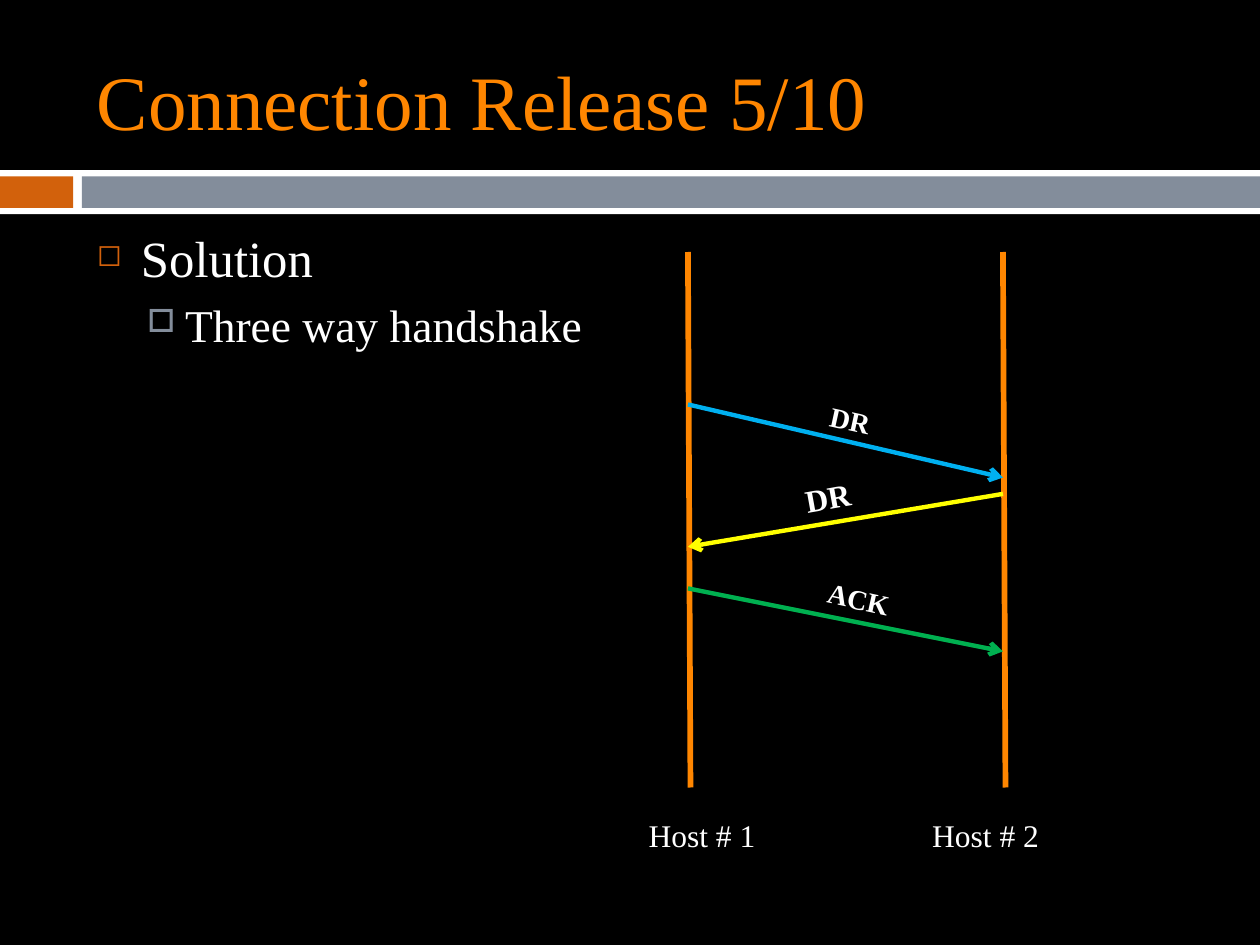
from lxml import etree
from pptx import Presentation
from pptx.dml.color import RGBColor
from pptx.enum.shapes import MSO_CONNECTOR, MSO_SHAPE
from pptx.enum.text import MSO_ANCHOR, MSO_AUTO_SIZE
from pptx.oxml.ns import qn
from pptx.util import Inches, Pt

RECTANGLE = MSO_SHAPE.RECTANGLE
STRAIGHT = MSO_CONNECTOR.STRAIGHT
MIDDLE = MSO_ANCHOR.MIDDLE
TOP = MSO_ANCHOR.TOP
FIT_SHAPE = MSO_AUTO_SIZE.SHAPE_TO_FIT_TEXT
FIXED = MSO_AUTO_SIZE.NONE

BLACK = RGBColor(0x00, 0x00, 0x00)
WHITE = RGBColor(0xFF, 0xFF, 0xFF)
ORANGE = RGBColor(0xFF, 0x86, 0x00)
RUST = RGBColor(0xD2, 0x61, 0x0C)
SLATE = RGBColor(0x83, 0x8D, 0x9B)
BLUE = RGBColor(0x00, 0xB0, 0xF0)
YELLOW = RGBColor(0xFF, 0xFF, 0x00)
GREEN = RGBColor(0x00, 0xB0, 0x50)

HOST_1_X, HOST_2_X = 5.46, 7.96


class SlideBuilder:
    font_name = "Times New Roman"

    def __init__(self, slide):
        self.slide = slide
        fill = slide.background.fill
        fill.solid()
        fill.fore_color.rgb = BLACK

    def bar(self, left, top, width, height, color):
        bar = self.slide.shapes.add_shape(
            RECTANGLE, Inches(left), Inches(top), Inches(width), Inches(height))
        bar.shadow.inherit = False
        bar.fill.solid()
        bar.fill.fore_color.rgb = color
        bar.line.fill.background()

    def line(self, start, end, color, width, arrow=False):
        line = self.slide.shapes.add_connector(
            STRAIGHT, *(Inches(value) for value in (*start, *end)))
        line.line.color.rgb = color
        line.line.width = Pt(width)
        properties = line._element.spPr
        if arrow:
            etree.SubElement(properties.find(qn("a:ln")), qn("a:tailEnd"), type="arrow")
        etree.SubElement(properties, qn("a:effectLst"))

    def frame(self, left, top, width, height, anchor=TOP, wrap=True,
              fit=FIXED, rotation=0):
        box = self.slide.shapes.add_textbox(
            Inches(left), Inches(top), Inches(width), Inches(height))
        box.rotation = rotation
        frame = box.text_frame
        frame.word_wrap = wrap
        frame.auto_size = fit
        frame.vertical_anchor = anchor
        return frame

    def set_text(self, paragraph, text, size, color=WHITE, bold=False):
        paragraph.text = text
        font = paragraph.font
        font.name = self.font_name
        font.size = Pt(size)
        font.color.rgb = color
        font.bold = bold

    def title(self, text, *place):
        self.set_text(self.frame(*place, anchor=MIDDLE).paragraphs[0], text, 44, ORANGE)

    def label(self, text, place, size=18, bold=False, wrap=False, rotation=0):
        frame = self.frame(*place, wrap=wrap, fit=FIT_SHAPE, rotation=rotation)
        self.set_text(frame.paragraphs[0], text, size, bold=bold)

    def bullets(self, items, *place):
        frame = self.frame(*place)
        for index, (text, size, margin, hanging, mark, color, percent) in enumerate(items):
            paragraph = frame.add_paragraph() if index else frame.paragraphs[0]
            paragraph.level = index
            properties = paragraph._p.get_or_add_pPr()
            properties.set("marL", str(Inches(margin)))
            properties.set("indent", str(-Inches(hanging)))
            bullet_color = etree.SubElement(properties, qn("a:buClr"))
            etree.SubElement(bullet_color, qn("a:srgbClr"), val=str(color))
            etree.SubElement(properties, qn("a:buSzPct"), val=str(percent * 1000))
            etree.SubElement(properties, qn("a:buChar"), char=mark)
            if index:
                paragraph.space_before = Pt(5.5)
            self.set_text(paragraph, text, size)


def main():
    presentation = Presentation()
    presentation.slide_width = Inches(10)
    presentation.slide_height = Inches(7.5)
    builder = SlideBuilder(presentation.slides.add_slide(presentation.slide_layouts[6]))

    builder.bar(0, 1.35, 10, 0.35, WHITE)
    builder.bar(0, 1.4, 0.58, 0.25, RUST)
    builder.bar(0.65, 1.4, 9.35, 0.25, SLATE)
    builder.title("Connection Release 5/10", 0.67, 0.25, 8.92, 1.08)
    builder.bullets([
        ("Solution", 29, 0.35, 0.35, "◻", RUST, 60),
        ("Three way handshake", 26, 0.7, 0.3, "□", SLATE, 70),
    ], 0.67, 1.75, 8.92, 1.25)

    for host_x in (HOST_1_X, HOST_2_X):
        builder.line((host_x, 2), (host_x + 0.02, 6.25), ORANGE, 3.25)
    builder.label("Host # 1", (5.05, 6.43, 1.06, 0.4))
    builder.label("Host # 2", (7.3, 6.43, 1.12, 0.4))

    messages = [
        (HOST_1_X, 4.67, HOST_2_X, 5.17, GREEN),
        (HOST_2_X, 3.92, HOST_1_X, 4.34, YELLOW),
        (HOST_1_X, 3.21, HOST_2_X, 3.79, BLUE),
    ]
    for sender_x, sent_y, receiver_x, received_y, color in messages:
        builder.line((sender_x, sent_y), (receiver_x, received_y), color, 2.5, arrow=True)

    builder.label("ACK", (6.47, 4.57, 0.7, 0.37), 16, bold=True, rotation=12.5)
    builder.label("DR", (6.29, 3.73, 0.77, 0.41), bold=True, wrap=True, rotation=349.7)
    builder.label("DR", (6.49, 3.15, 0.52, 0.37), 16, bold=True, rotation=12.4)

    presentation.save("out.pptx")


if __name__ == "__main__":
    main()
